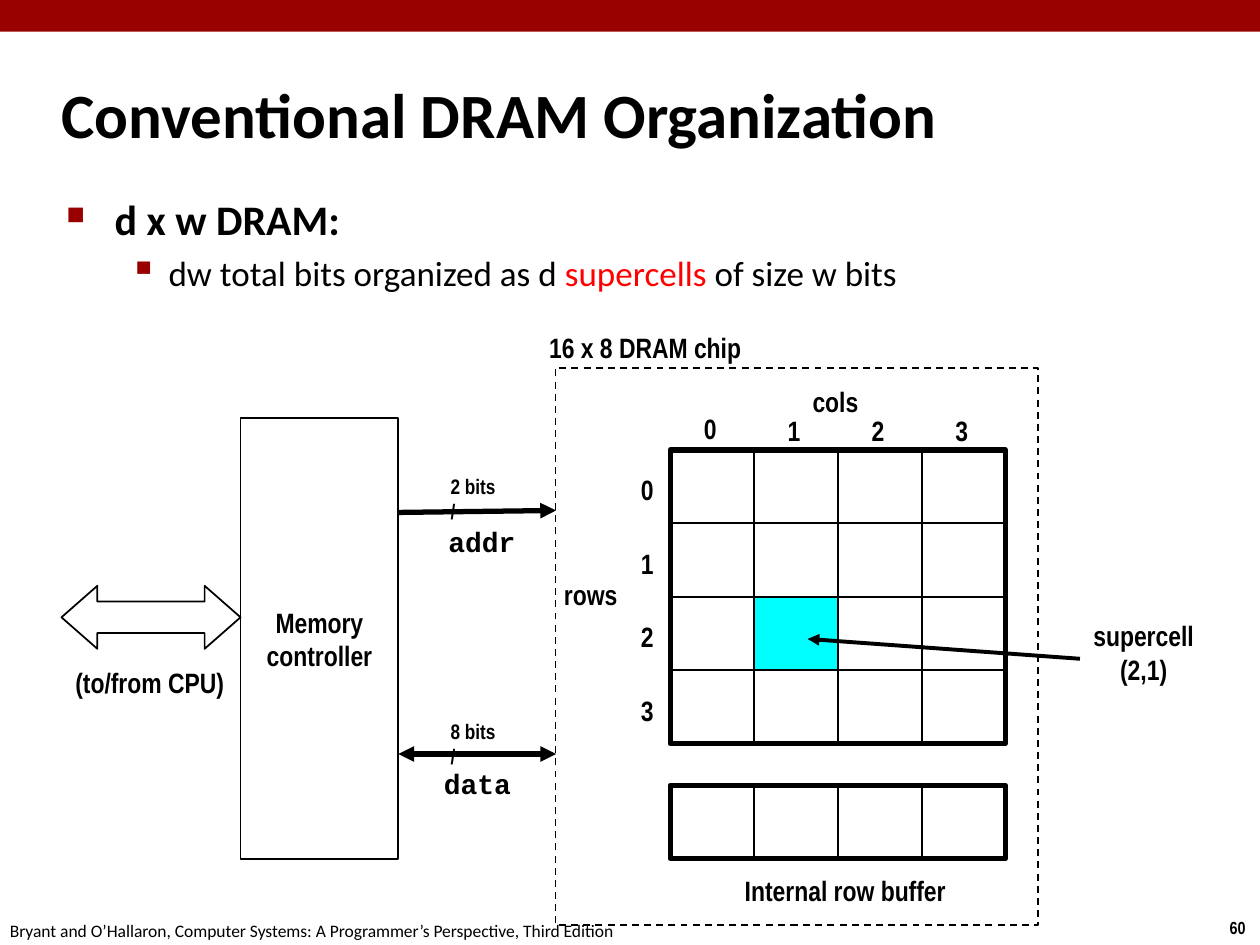
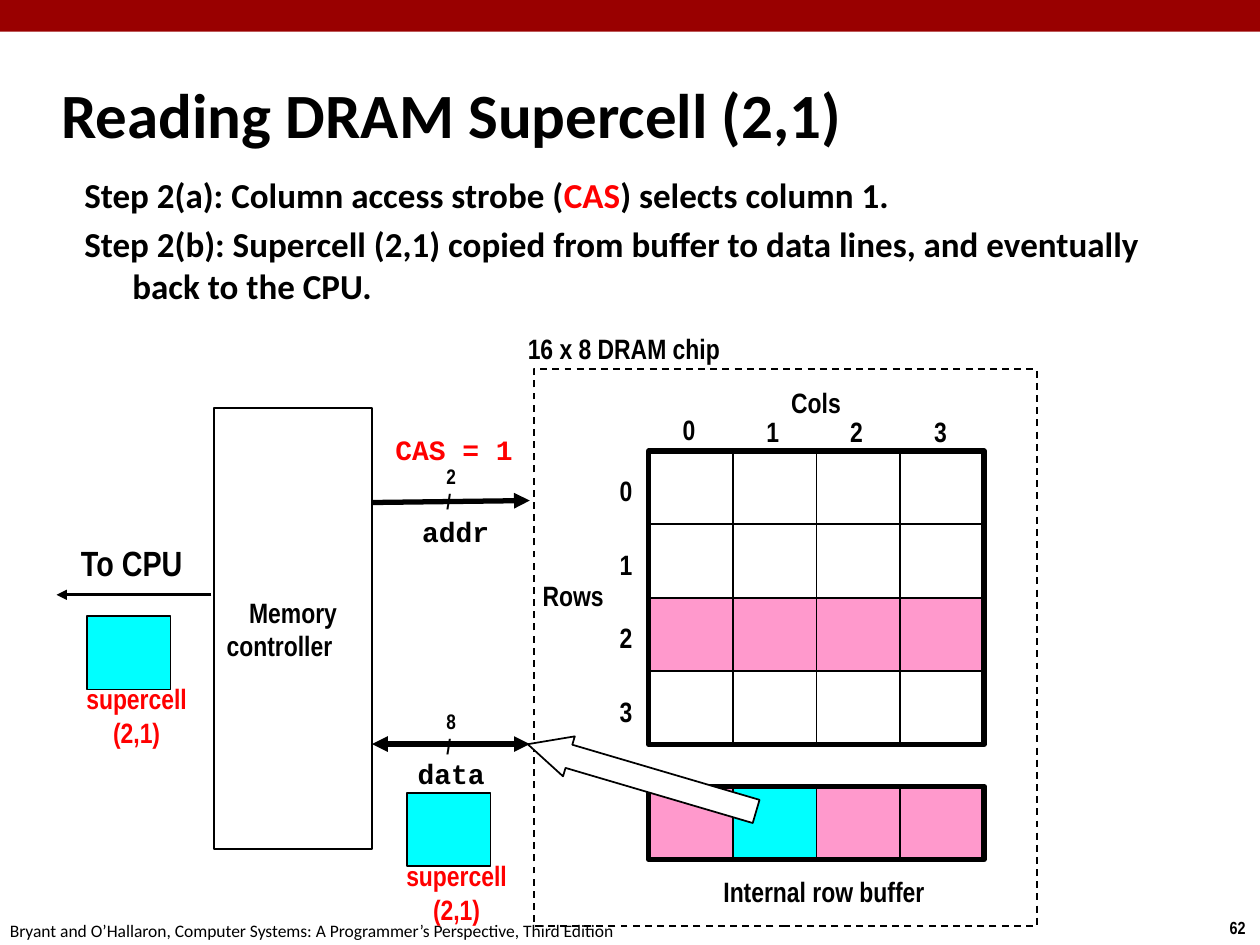
from lxml.etree import SubElement
from pptx import Presentation
from pptx.dml.color import RGBColor
from pptx.enum.dml import MSO_LINE
from pptx.enum.shapes import MSO_CONNECTOR, MSO_SHAPE
from pptx.enum.text import MSO_ANCHOR, MSO_AUTO_SIZE, PP_ALIGN
from pptx.oxml.ns import qn
from pptx.util import Cm, Pt

CRIMSON = RGBColor(0x99, 0x00, 0x00)
BLACK = RGBColor(0x00, 0x00, 0x00)
WHITE = RGBColor(0xFF, 0xFF, 0xFF)
RED = RGBColor(0xFF, 0x00, 0x00)
CYAN = RGBColor(0x00, 0xFF, 0xFF)
PINK = RGBColor(0xFF, 0x99, 0xCC)

HEADING_FONT = "Calibri"
LABEL_FONT = "Arial Narrow"
CODE_FONT = "Courier New"

# Lengths in centimetres
CELL_WIDTH, CELL_HEIGHT = 1.69, 1.48
GRID_SIZE = 4
LINE_HEIGHT = 0.94
TWO_LINES = 1.63
CONTROLLER_WIDTH, CONTROLLER_HEIGHT = 3.18, 8.89
CALLOUT = ["supercell", "(2,1)"]


def style_font(font, size, name, color=BLACK, bold=True):
    font.size = Pt(size)
    font.name = name
    font.bold = bold
    font.color.rgb = color


def add_label(page, box, lines, size=16, name=LABEL_FONT, color=BLACK, bold=True,
              align=PP_ALIGN.LEFT, anchor=MSO_ANCHOR.MIDDLE):
    """Add an unwrapped text box with one paragraph for each line."""
    frame = page.shapes.add_textbox(*map(Cm, box)).text_frame
    frame.word_wrap = False
    frame.auto_size = MSO_AUTO_SIZE.SHAPE_TO_FIT_TEXT
    frame.vertical_anchor = anchor
    fill_lines(frame, lines, size, name, color, bold, [align] * len(lines))
    return frame


def fill_lines(frame, lines, size, name, color, bold, alignments):
    for number, (line, align) in enumerate(zip(lines, alignments)):
        para = frame.paragraphs[0] if number == 0 else frame.add_paragraph()
        para.text = line
        para.alignment = align
        style_font(para.font, size, name, color, bold)


def add_block(page, box, fill=WHITE, weight=1, kind=MSO_SHAPE.RECTANGLE):
    """Add a black-lined shape; a fill of None leaves it hollow."""
    block = page.shapes.add_shape(kind, *map(Cm, box))
    block.shadow.inherit = False
    if fill is None:
        block.fill.background()
    else:
        block.fill.solid()
        block.fill.fore_color.rgb = fill
    block.line.color.rgb = BLACK
    block.line.width = Pt(weight)
    return block


def add_arrow(page, start, end, weight, both_ways=False):
    arrow = page.shapes.add_connector(MSO_CONNECTOR.STRAIGHT, *map(Cm, start + end))
    arrow.line.color.rgb = BLACK
    arrow.line.width = Pt(weight)
    line = arrow.line.fill._xPr
    if both_ways:
        SubElement(line, qn("a:headEnd"), type="triangle")
    SubElement(line, qn("a:tailEnd"), type="triangle")
    SubElement(arrow._element.spPr, qn("a:effectLst"))


def add_page(deck, title, number):
    """Add a slide with the top band, title, footer and page number."""
    page = deck.slides.add_slide(deck.slide_layouts[6])
    band = add_block(page, (0, 0, 25.4, 0.64), CRIMSON)
    band.line.fill.background()
    add_label(page, (24.54, 18.36, 0.86, 0.69), [number], 10, anchor=MSO_ANCHOR.TOP)
    add_label(page, (-0.05, 18.42, 12.9, 0.69),
              ["Bryant and O’Hallaron, Computer Systems: "
               "A Programmer’s Perspective, Third Edition"],
              10, HEADING_FONT, bold=False, anchor=MSO_ANCHOR.TOP)
    heading = page.shapes.add_textbox(Cm(0.99), Cm(1.22), Cm(21.08), Cm(2.11)).text_frame
    heading.word_wrap = True
    heading.vertical_anchor = MSO_ANCHOR.MIDDLE
    fill_lines(heading, [title], 36, HEADING_FONT, BLACK, True, [PP_ALIGN.LEFT])
    return page


def add_body(page, box):
    frame = page.shapes.add_textbox(*map(Cm, box)).text_frame
    frame.word_wrap = True
    return frame


def write_body_line(para, pieces, size, margin, hanging, bold=True, bullet=None):
    """Write (text, color) pieces with a hanging indent and an optional (char, percent) bullet."""
    properties = para._p.get_or_add_pPr()
    properties.set("marL", str(Cm(margin)))
    properties.set("indent", str(-Cm(hanging)))
    if bullet:
        char, percent = bullet
        color = SubElement(properties, qn("a:buClr"))
        SubElement(color, qn("a:srgbClr"), val=str(CRIMSON))
        SubElement(properties, qn("a:buSzPct"), val=str(percent * 1000))
        SubElement(properties, qn("a:buChar"), char=char)
    style_font(para.font, size, HEADING_FONT, bold=bold)
    for text, color in pieces:
        span = para.add_run()
        span.text = text
        if color != BLACK:
            span.font.color.rgb = color


def add_cells(page, left, top, rows, fills):
    """Draw rows of cells in a heavy frame; fills maps (row, column) to a color."""
    for row in range(rows):
        for column in range(GRID_SIZE):
            add_block(page, (left + column * CELL_WIDTH, top + row * CELL_HEIGHT,
                             CELL_WIDTH, CELL_HEIGHT), fills.get((row, column), WHITE))
    add_block(page, (left, top, GRID_SIZE * CELL_WIDTH, rows * CELL_HEIGHT), None, 3)


def add_chip(page, box, columns_title, rows_title, grid_fills, buffer_fills):
    left, top, width, height = box
    grid_left, grid_top = left + 2.31, top + 1.65
    add_label(page, (left + 4.93, top + 0.2, 1.6, LINE_HEIGHT), [columns_title])
    add_label(page, (left - 0.08, top + 4.09, 1.8, LINE_HEIGHT), [rows_title])
    add_cells(page, grid_left, grid_top, GRID_SIZE, grid_fills)
    for index in range(GRID_SIZE):
        column_top = top + (0.79 if index else 0.75)
        add_label(page, (grid_left + 0.43 + index * CELL_WIDTH, column_top,
                         0.81, LINE_HEIGHT), [str(index)])
        add_label(page, (grid_left - 0.84, grid_top + 0.33 + index * CELL_HEIGHT,
                         0.81, LINE_HEIGHT), [str(index)])
    add_cells(page, grid_left, top + 8.41, 1, buffer_fills)
    add_label(page, (left + 3.53, top + 10.06, 4.62, LINE_HEIGHT),
              ["Internal row buffer"], align=PP_ALIGN.CENTER)
    add_block(page, box, None).line.dash_style = MSO_LINE.DASH
    add_label(page, (left - 0.38, top - 0.89, 5.26, LINE_HEIGHT), ["16 x 8 DRAM chip"])


def add_controller(page, left, top, second_align, bit_labels, bit_width):
    """Draw the memory controller with its addr and data lines."""
    right = left + CONTROLLER_WIDTH
    bus_end = right + 3.18
    controller = add_block(page, (left, top, CONTROLLER_WIDTH, CONTROLLER_HEIGHT)).text_frame
    controller.word_wrap = False
    controller.vertical_anchor = MSO_ANCHOR.MIDDLE
    fill_lines(controller, ["Memory", "controller"], 16, LABEL_FONT, BLACK, True,
               [PP_ALIGN.CENTER, second_align])
    address_y, data_y = top + 1.9, top + 6.77
    add_arrow(page, (right, address_y), (bus_end, address_y - 0.04), 3)
    add_arrow(page, (right, data_y), (bus_end, data_y), 3, both_ways=True)
    add_label(page, (left + 3.94, address_y + 0.12, 1.88, LINE_HEIGHT), ["addr"], name=CODE_FONT)
    add_label(page, (left + 3.85, data_y + 0.12, 1.88, LINE_HEIGHT), ["data"], name=CODE_FONT)
    for line_y, text in zip((address_y - 0.92, data_y - 0.84), bit_labels):
        add_label(page, (left + 4.8 - bit_width / 2, line_y, bit_width, 1.27), [text, "/"], 12)


def add_supercell(page, left, top):
    """Draw a copied supercell with its red caption."""
    add_label(page, (left - 0.28, top + 1.19, 2.57, TWO_LINES), CALLOUT,
              color=RED, align=PP_ALIGN.CENTER)
    add_block(page, (left, top, CELL_WIDTH, CELL_HEIGHT), CYAN)


def add_cpu_link(page, left, top):
    add_block(page, (left, top, 3.61, 1.27),
              kind=MSO_SHAPE.LEFT_RIGHT_ARROW).adjustments[1] = 0.57
    add_label(page, (left + 0.03, top + 1.47, 3.56, LINE_HEIGHT), ["(to/from CPU)"])


def add_cpu_output(page, left, top):
    frame = add_label(page, (left + 0.36, top, 2.31, 1.12), ["To CPU"], 20,
                      anchor=MSO_ANCHOR.TOP)
    frame.margin_left = frame.margin_right = Cm(0.13)
    add_arrow(page, (left + 3.12, top + 1.19), (left, top + 1.19), 1.5)
    add_supercell(page, left + 0.61, top + 1.62)


def build_organization(deck):
    page = add_page(deck, "Conventional DRAM Organization", "60")
    body = add_body(page, (1.09, 3.78, 21.95, 13.82))
    write_body_line(body.paragraphs[0], [("d x w DRAM:", BLACK)], 24, 0.97, 0.97,
                    bullet=("■", 60))
    detail = body.add_paragraph()
    detail.level = 1
    detail.space_before = Pt(4)
    write_body_line(detail, [("dw total bits organized as d ", BLACK), ("supercells", RED),
                             (" of size w bits", BLACK)],
                    20, 2.06, 0.79, bold=False, bullet=("▪", 110))
    add_chip(page, (11.2, 7.42, 9.73, 11.23), "cols", "rows", {(2, 1): CYAN}, {})
    add_label(page, (21.77, 12.34, 2.57, TWO_LINES), CALLOUT, align=PP_ALIGN.CENTER)
    add_arrow(page, (21.77, 13.28), (16.28, 12.88), 2.25)
    add_controller(page, 4.85, 8.43, PP_ALIGN.CENTER, ["2 bits", "8 bits"], 1.63)
    add_cpu_link(page, 1.24, 11.81)


def build_reading(deck):
    page = add_page(deck, "Reading DRAM Supercell (2,1)", "62")
    body = add_body(page, (1.45, 3.38, 22.48, 2.97))
    write_body_line(body.paragraphs[0],
                    [("Step 2(a): Column access strobe (", BLACK), ("CAS", RED),
                     (") selects column 1.", BLACK)], 20, 0.97, 0.97)
    second = body.add_paragraph()
    second.space_before = Pt(4)
    write_body_line(second, [("Step 2(b): Supercell (2,1) copied from buffer to data lines, "
                              "and eventually back to the CPU.", BLACK)], 20, 0.97, 0.97)
    selected_row = {(2, column): PINK for column in range(GRID_SIZE)}
    buffer_fills = {(0, column): PINK for column in range(GRID_SIZE)}
    buffer_fills[0, 1] = CYAN
    add_chip(page, (10.77, 7.44, 10.13, 11.23), "Cols", "Rows", selected_row, buffer_fills)
    add_label(page, (7.72, 8.59, 2.9, LINE_HEIGHT), ["CAS = 1"], name=CODE_FONT, color=RED)
    add_controller(page, 4.32, 8.23, PP_ALIGN.LEFT, ["2", "8"], 0.74)
    copy_arrow = add_block(page, (12.52, 13.28, 0.84, 4.8), kind=MSO_SHAPE.DOWN_ARROW)
    copy_arrow.rotation = 106.4
    copy_arrow.adjustments[0] = 0.58
    copy_arrow.adjustments[1] = 1.03
    add_supercell(page, 8.2, 15.98)
    add_cpu_output(page, 1.14, 10.8)


def main():
    deck = Presentation()
    deck.slide_width, deck.slide_height = Cm(25.4), Cm(19.05)
    build_organization(deck)
    build_reading(deck)
    deck.save("out.pptx")


if __name__ == "__main__":
    main()
